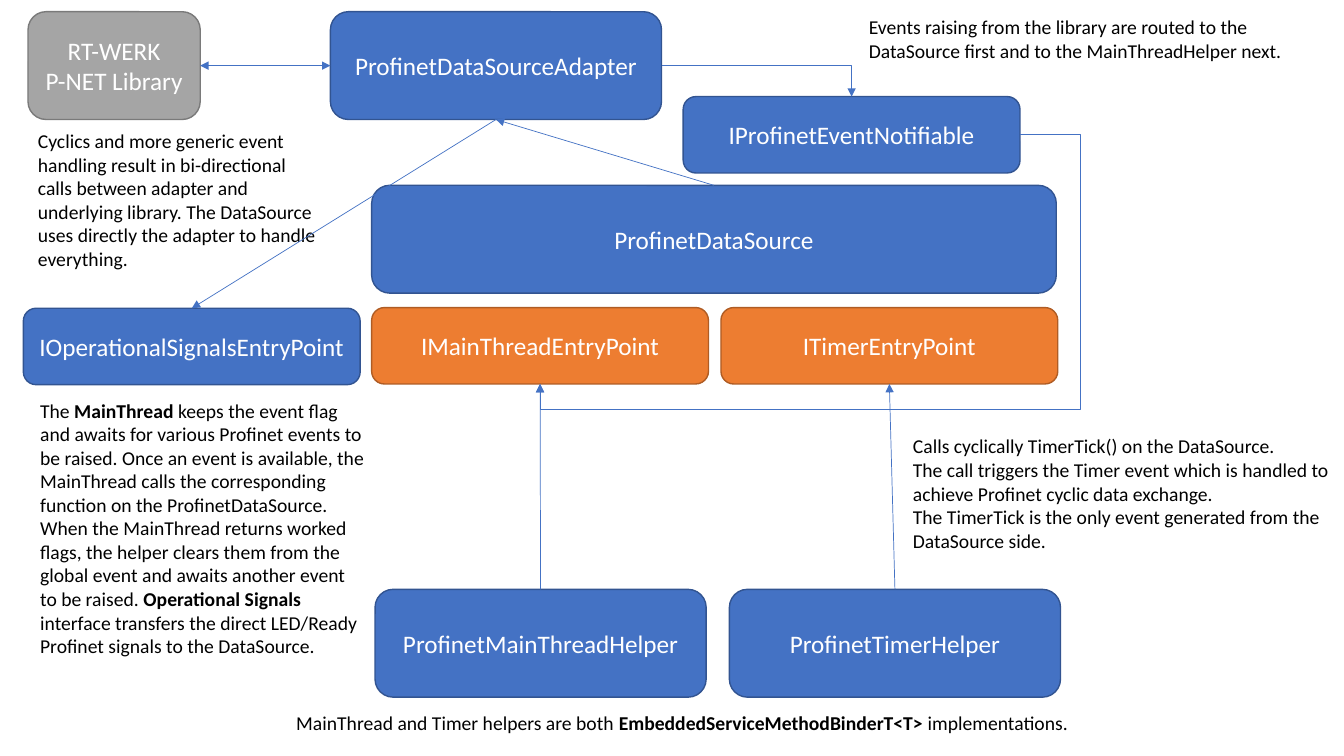
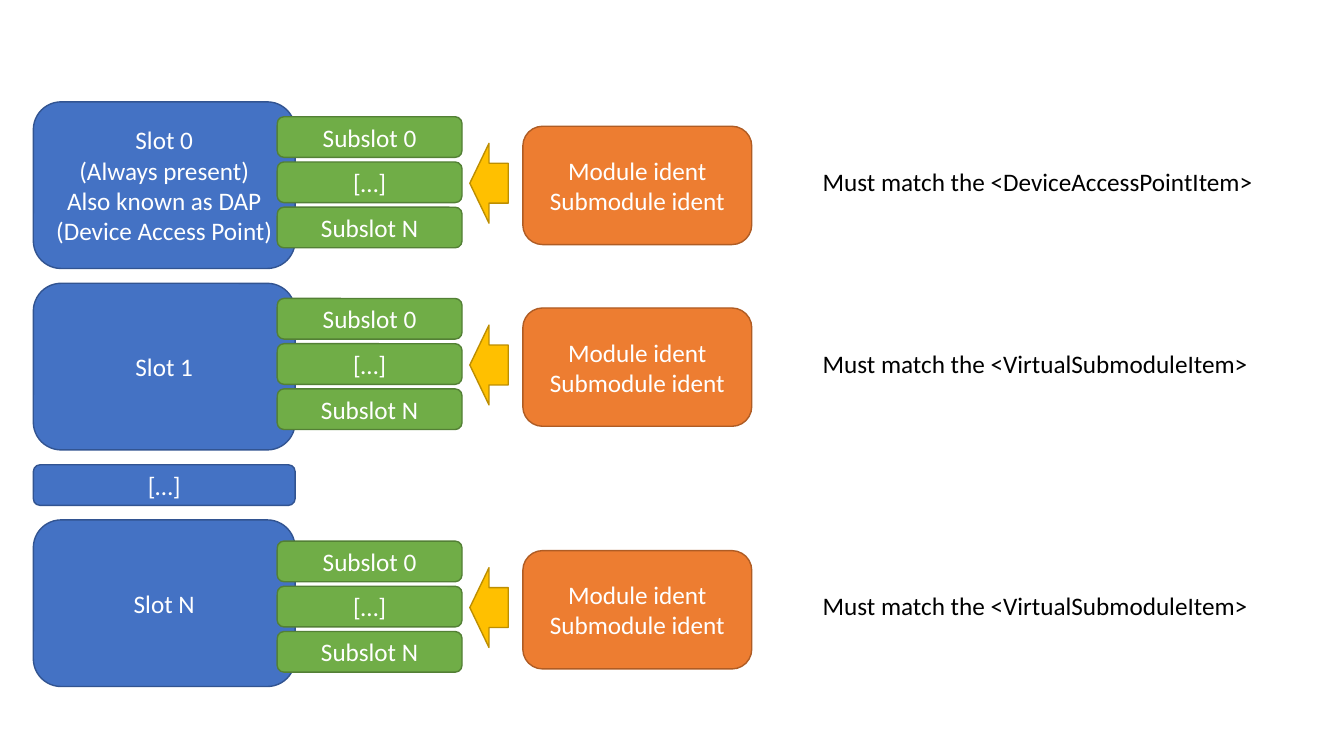
"""Build two diagrams: the Profinet adapter architecture and the slot model."""
from dataclasses import dataclass

import pptx
import pptx.dml.color
import pptx.enum.shapes
import pptx.enum.text
import pptx.oxml
import pptx.oxml.ns
import pptx.util

Pt = pptx.util.Pt
qn = pptx.oxml.ns.qn
SHAPE = pptx.enum.shapes.MSO_SHAPE
CONNECTOR = pptx.enum.shapes.MSO_CONNECTOR
ALIGN = pptx.enum.text.PP_ALIGN
ANCHOR = pptx.enum.text.MSO_ANCHOR

FONT = "Calibri"
WHITE, BLACK = "FFFFFF", "000000"
BLUE, GRAY, ORANGE = ("4472C4", "325491"), ("A5A5A5", "7A7A7A"), ("ED7D31", "AF5C24")
GREEN, YELLOW = ("70AD47", "538035"), ("FFC000", "BD8E00")
TOP, LEFT, BOTTOM, RIGHT = range(4)


@dataclass(frozen=True)
class Box:
    """A filled preset shape with centred text."""
    x: float
    y: float
    w: float
    h: float
    text: str = ""
    colors: tuple[str, str] = BLUE
    kind: SHAPE = SHAPE.ROUNDED_RECTANGLE


@dataclass(frozen=True)
class Note:
    """A plain text box in which ** marks bold text."""
    x: float
    y: float
    w: float
    h: float
    text: str
    size: float = 14


@dataclass(frozen=True)
class Link:
    """An arrow between the connection sites of two named boxes."""
    start: str
    start_site: int
    end: str
    end_site: int
    preset: str = "line"
    adjusts: tuple[int, ...] = ()
    both: bool = False


@dataclass(frozen=True)
class SlotRow:
    """A slot with its subslots, identifiers and matching item."""
    y: float
    detail_y: float
    text: str
    item: str


ENTRY = (240.6, 54.6)
CLASS = (236.5, 77)
BOXES = {
    "adapter": Box(236, 8.4, *CLASS, "ProfinetDataSourceAdapter"),
    "library": Box(20, 8.4, 123, 77, "RT-WERK\nP-NET Library", GRAY),
    "timer_entry": Box(515, 219.7, *ENTRY, "ITimerEntryPoint", ORANGE),
    "main_entry": Box(265.5, 219.7, *ENTRY, "IMainThreadEntryPoint", ORANGE),
    "source": Box(265.5, 132.4, 489, 77, "ProfinetDataSource"),
    "main_helper": Box(267.9, 421, *CLASS, "ProfinetMainThreadHelper"),
    "timer_helper": Box(521, 421, *CLASS, "ProfinetTimerHelper"),
    "notifiable": Box(488, 69, *ENTRY, "IProfinetEventNotifiable"),
    "signals": Box(16.7, 220.2, *ENTRY, "IOperationalSignalsEntryPoint"),
}
LINKS = [
    Link("main_helper", TOP, "main_entry", BOTTOM),
    Link("timer_helper", TOP, "timer_entry", BOTTOM),
    Link("adapter", RIGHT, "notifiable", TOP, "bentConnector2"),
    Link("library", RIGHT, "adapter", LEFT, both=True),
    Link("notifiable", RIGHT, "main_entry", BOTTOM, "bentConnector4", (-12500, 110100)),
    Link("source", TOP, "adapter", BOTTOM),
    Link("adapter", BOTTOM, "signals", TOP),
]
NOTES = [
    Note(645, 306.7, 314, 92.2,
         "Calls cyclically TimerTick() on the DataSource.\n"
         "The call triggers the Timer event which is handled to\n"
         "achieve Profinet cyclic data exchange.\n"
         "The TimerTick is the only event generated from the DataSource side."),
    Note(21.6, 281.2, 246, 193.7,
         "The **MainThread **keeps the event flag and awaits for various Profinet events "
         "to be raised. Once an event is available, the MainThread calls the "
         "corresponding function on the ProfinetDataSource.\n"
         "When the MainThread returns worked flags, the helper clears them from the "
         "global event and awaits another event to be raised. **Operational Signals**\n"
         "interface transfers the direct LED/Ready Profinet signals to the DataSource."),
    Note(613.5, 7.2, 314, 41,
         "Events raising from the library are routed to the DataSource first and to the "
         "MainThreadHelper next."),
    Note(20, 88.6, 216, 108.7,
         "Cyclics and more generic event handling result in bi-directional calls between "
         "adapter and underlying library. The DataSource uses directly the adapter to "
         "handle everything."),
    Note(204.5, 504, 567, 24.5,
         "MainThread and Timer helpers are both **EmbeddedServiceMethodBinderT<T> "
         "**implementations."),
]

SLOT_X, SLOT_W, SLOT_H, BAR_H = 23.8, 187, 119, 29
SUBSLOTS, SUBSLOT_PITCH = ("Subslot 0", "[…]", "Subslot N"), 32.3
ROWS = [
    SlotRow(72.8, 83.4, "Slot 0\n(Always present)\nAlso known as DAP\n(Device Access Point)",
            "DeviceAccessPointItem"),
    SlotRow(202.4, 213.2, "Slot 1", "VirtualSubmoduleItem"),
    SlotRow(371.4, 386.5, "Slot N", "VirtualSubmoduleItem"),
]


def rgb(value: str) -> pptx.dml.color.RGBColor:
    """Return the colour of a hex string."""
    return pptx.dml.color.RGBColor.from_string(value)


def write(tf, text: str, size: float, color: str, align: ALIGN) -> None:
    """Fill a text frame, one paragraph a line."""
    tf.word_wrap = True
    for i, line in enumerate(text.split("\n")):
        p = tf.paragraphs[0] if i == 0 else tf.add_paragraph()
        p.alignment = align
        p.font.name = FONT
        p.font.size = Pt(size)
        p.font.color.rgb = rgb(color)
        for j, part in enumerate(line.split("**")):
            if part:
                r = p.add_run()
                r.text = part
                if j % 2:
                    r.font.bold = True


def add_box(s, box: Box):
    """Draw a box and return its shape."""
    sp = s.shapes.add_shape(box.kind, Pt(box.x), Pt(box.y), Pt(box.w), Pt(box.h))
    sp.shadow.inherit = False
    fill, line = box.colors
    sp.fill.solid()
    sp.fill.fore_color.rgb = rgb(fill)
    sp.line.color.rgb = rgb(line)
    sp.line.width = Pt(1)
    if box.text:
        sp.text_frame.vertical_anchor = ANCHOR.MIDDLE
        write(sp.text_frame, box.text, 18, WHITE, ALIGN.CENTER)
    return sp


def add_note(s, note: Note) -> None:
    """Draw a text box."""
    sp = s.shapes.add_textbox(Pt(note.x), Pt(note.y), Pt(note.w), Pt(note.h))
    write(sp.text_frame, note.text, note.size, BLACK, ALIGN.LEFT)
    sp.text_frame.auto_size = pptx.enum.text.MSO_AUTO_SIZE.SHAPE_TO_FIT_TEXT


def add_link(s, link: Link, shapes: dict) -> None:
    """Draw an arrow glued to two boxes."""
    kind = CONNECTOR.STRAIGHT if link.preset == "line" else CONNECTOR.ELBOW
    cn = s.shapes.add_connector(kind, 0, 0, 0, 0)
    cn.begin_connect(shapes[link.start], link.start_site)
    cn.end_connect(shapes[link.end], link.end_site)
    cn.line.color.rgb = rgb(BLUE[0])
    cn.line.width = Pt(0.5)
    sppr = cn._element.spPr
    geom = sppr.find(qn("a:prstGeom"))
    geom.set("prst", link.preset)
    for i, value in enumerate(link.adjusts, 1):
        gd = pptx.oxml.parse_xml(f'<a:gd {pptx.oxml.ns.nsdecls("a")} name="adj{i}" fmla="val {value}"/>')
        geom.find(qn("a:avLst")).append(gd)
    for end in ("headEnd", "tailEnd") if link.both else ("tailEnd",):
        arrow = pptx.oxml.parse_xml(f'<a:{end} {pptx.oxml.ns.nsdecls("a")} type="triangle"/>')
        sppr.find(qn("a:ln")).append(arrow)
    sppr.append(pptx.oxml.parse_xml(f'<a:effectLst {pptx.oxml.ns.nsdecls("a")}/>'))


def add_row(s, row: SlotRow) -> None:
    """Draw a slot and all that belongs to it."""
    y = row.detail_y
    add_box(s, Box(SLOT_X, row.y, SLOT_W, SLOT_H, row.text))
    for i, text in enumerate(SUBSLOTS):
        add_box(s, Box(198, y + i * SUBSLOT_PITCH, 132, BAR_H, text, GREEN))
    add_box(s, Box(373.5, y + 6.8, 163.5, 84.5, "Module ident\nSubmodule ident", ORANGE))
    add_box(s, Box(335.6, y + 19, 27.4, 57, "", YELLOW, SHAPE.LEFT_ARROW))
    add_note(s, Note(580.5, y + 31.8, 327.6, BAR_H, f"Must match the <{row.item}>", 18))


def build_architecture(s) -> None:
    """Draw the adapter architecture."""
    shapes = {name: add_box(s, box) for name, box in BOXES.items()}
    for note in NOTES:
        add_note(s, note)
    for link in LINKS:
        add_link(s, link, shapes)


def build_slots(s) -> None:
    """Draw the slot model."""
    for row in ROWS:
        add_row(s, row)
    add_box(s, Box(SLOT_X, 332, SLOT_W, BAR_H, "[…]"))


def main() -> None:
    """Build and save the presentation."""
    prs = pptx.Presentation()
    prs.slide_width, prs.slide_height = Pt(960), Pt(540)
    for build in (build_architecture, build_slots):
        build(prs.slides.add_slide(prs.slide_layouts[6]))
    prs.save("out.pptx")


if __name__ == "__main__":
    main()
